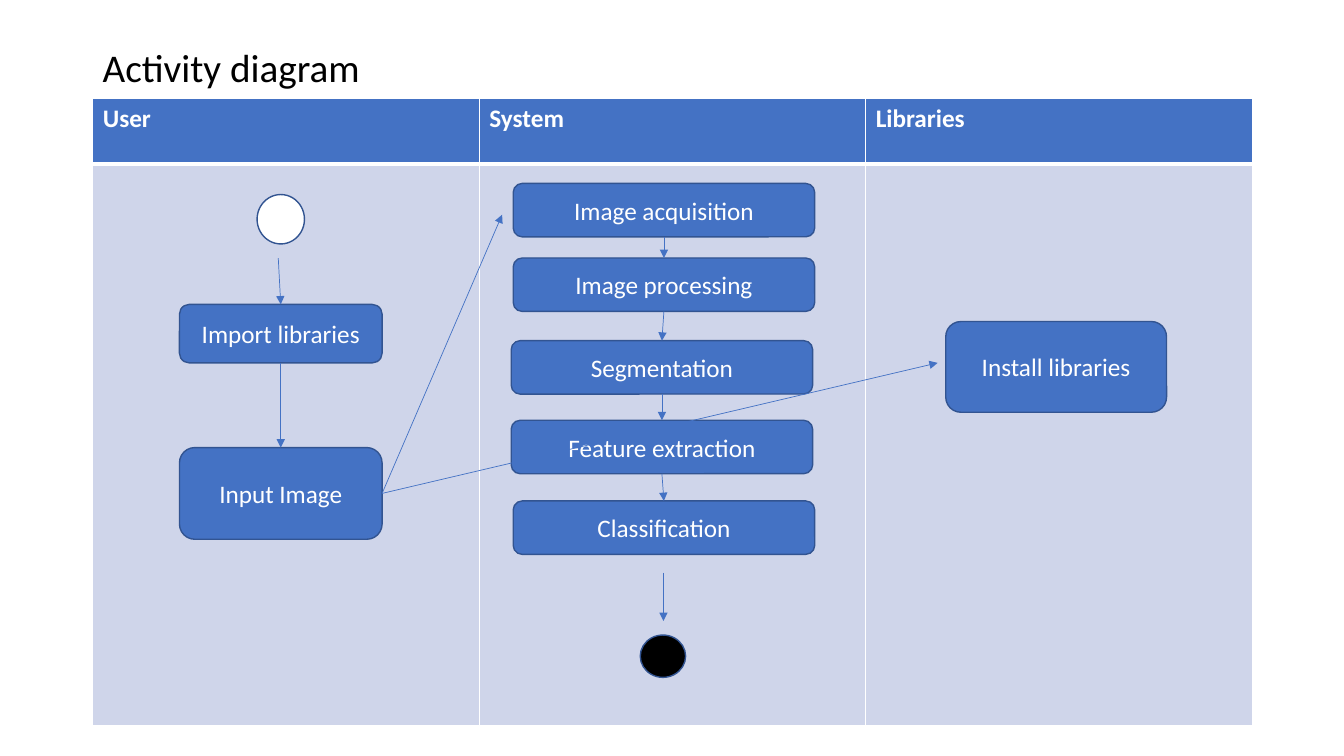
from dataclasses import dataclass

from lxml.etree import SubElement
from pptx import Presentation
from pptx.dml.color import RGBColor
from pptx.enum.shapes import MSO_CONNECTOR, MSO_SHAPE
from pptx.enum.text import MSO_ANCHOR, PP_ALIGN
from pptx.oxml import parse_xml
from pptx.oxml.ns import nsdecls, qn
from pptx.util import Inches, Pt


@dataclass(frozen=True)
class Theme:
    font: str = "Calibri"
    title_size: int = 28
    body_size: int = 18
    blue: str = "4472C4"
    outline: str = "325491"
    lane: str = "CFD5EA"
    white: str = "FFFFFF"
    black: str = "000000"


THEME = Theme()
TOP, LEFT, BOTTOM, RIGHT = range(4)


def color(value):
    return RGBColor.from_string(value)


def add_run(paragraph, text, size, text_color, bold=False):
    run = paragraph.add_run()
    run.text = text
    run.font.name = THEME.font
    run.font.size = Pt(size)
    run.font.bold = bold
    run.font.color.rgb = color(text_color)


def add_title(slide, text):
    box = slide.shapes.add_textbox(Inches(0.92), Inches(0.4), Inches(3.21), Inches(0.58))
    frame = box.text_frame
    frame.word_wrap = True
    frame.vertical_anchor = MSO_ANCHOR.MIDDLE
    paragraph = frame.paragraphs[0]
    paragraph.line_spacing = 0.9
    add_run(paragraph, text, THEME.title_size, THEME.black)


def style_cell(cell, fill, top, bottom):
    cell.fill.solid()
    cell.fill.fore_color.rgb = color(fill)
    properties = cell._tc.get_or_add_tcPr()
    borders = {"lnL": 1, "lnR": 1, "lnT": top, "lnB": bottom}
    for index, (side, width) in enumerate(borders.items()):
        border = parse_xml(
            f'<a:{side} {nsdecls("a")} w="{Pt(width)}"><a:solidFill>'
            f'<a:srgbClr val="{THEME.white}"/></a:solidFill></a:{side}>'
        )
        properties.insert(index, border)


def add_swimlanes(slide, names):
    frame = slide.shapes.add_table(
        2, len(names), Inches(0.92), Inches(0.98), Inches(11.5), Inches(6.22)
    )
    table = frame.table
    table.horz_banding = False
    table.rows[0].height = Inches(0.65)
    table.rows[1].height = Inches(5.57)
    for column, name in enumerate(names):
        table.columns[column].width = Inches(11.5 / len(names))
        header = table.cell(0, column)
        add_run(header.text_frame.paragraphs[0], name, THEME.body_size, THEME.white, True)
        style_cell(header, THEME.blue, 1, 3)
        style_cell(table.cell(1, column), THEME.lane, 3, 1)


def add_node(slide, kind, left, top, width, height, fill):
    shape = slide.shapes.add_shape(
        kind, Inches(left), Inches(top), Inches(width), Inches(height)
    )
    shape.shadow.inherit = False
    shape.fill.solid()
    shape.fill.fore_color.rgb = color(fill)
    shape.line.color.rgb = color(THEME.outline)
    shape.line.width = Pt(1)
    return shape


def add_activity(slide, text, left, top, width, height):
    shape = add_node(
        slide, MSO_SHAPE.ROUNDED_RECTANGLE, left, top, width, height, THEME.blue
    )
    frame = shape.text_frame
    frame.word_wrap = True
    frame.vertical_anchor = MSO_ANCHOR.MIDDLE
    paragraph = frame.paragraphs[0]
    paragraph.alignment = PP_ALIGN.CENTER
    add_run(paragraph, text, THEME.body_size, THEME.white)
    return shape


def add_arrow(slide, start, end, start_joint=None, end_joint=None):
    connector = slide.shapes.add_connector(
        MSO_CONNECTOR.STRAIGHT, *(Inches(value) for value in (*start, *end))
    )
    if start_joint:
        connector.begin_connect(*start_joint)
    if end_joint:
        connector.end_connect(*end_joint)
    connector.line.color.rgb = color(THEME.blue)
    connector.line.width = Pt(0.5)
    SubElement(connector.line._get_or_add_ln(), qn("a:tailEnd"), type="triangle")
    SubElement(connector._element.spPr, qn("a:effectLst"))


def main():
    presentation = Presentation()
    presentation.slide_width = Inches(13.33)
    presentation.slide_height = Inches(7.5)
    slide = presentation.slides.add_slide(presentation.slide_layouts[6])

    add_title(slide, "Activity diagram")
    add_swimlanes(slide, ["User", "System", "Libraries"])

    add_node(slide, MSO_SHAPE.OVAL, 2.55, 1.93, 0.47, 0.49, THEME.white)
    import_libraries = add_activity(slide, "Import libraries", 1.78, 3.02, 2.01, 0.58)
    input_image = add_activity(slide, "Input Image", 1.78, 4.44, 2.01, 0.91)
    add_activity(slide, "Install libraries", 9.38, 3.19, 2.19, 0.9)
    system_steps = [
        add_activity(slide, text, left, top, 2.99, 0.53)
        for text, left, top in [
            ("Image acquisition", 5.09, 1.82),
            ("Image processing", 5.09, 2.56),
            ("Segmentation", 5.07, 3.38),
            ("Feature extraction", 5.07, 4.17),
            ("Classification", 5.09, 4.97),
        ]
    ]
    add_node(slide, MSO_SHAPE.OVAL, 6.35, 6.3, 0.45, 0.42, THEME.black)

    add_arrow(slide, (2.76, 2.56), (2.76, 3.02), end_joint=(import_libraries, TOP))
    flows = [(import_libraries, input_image), *zip(system_steps, system_steps[1:])]
    for source, target in flows:
        add_arrow(slide, (0, 0), (0, 0), (source, BOTTOM), (target, TOP))
    add_arrow(slide, (6.58, 5.68), (6.58, 6.16))
    for end in [(4.98, 2.13), (9.3, 3.6)]:
        add_arrow(slide, (3.79, 4.85), end, start_joint=(input_image, RIGHT))

    presentation.save("out.pptx")


if __name__ == "__main__":
    main()
